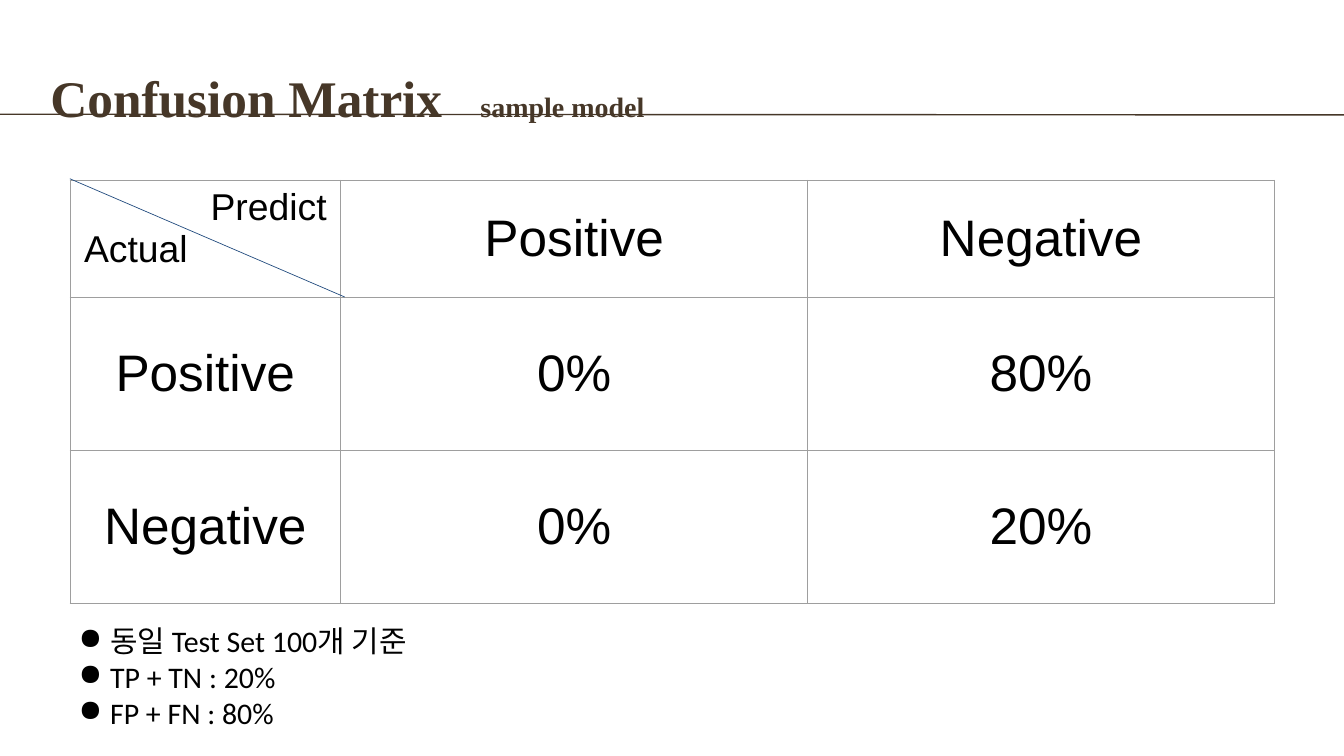
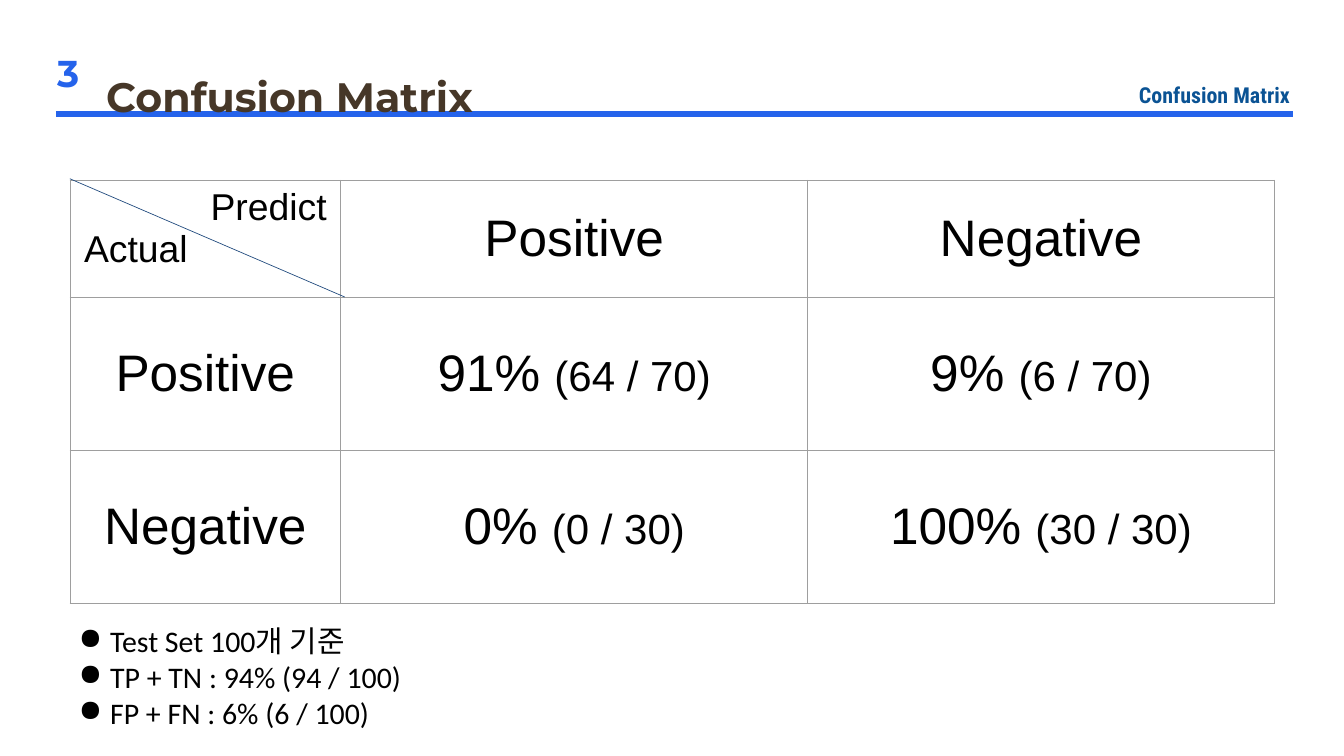
from lxml import etree
from pptx import Presentation
from pptx.dml.color import RGBColor
from pptx.enum import shapes, text
from pptx.oxml import parse_xml
from pptx.oxml.ns import nsdecls, qn
from pptx.util import Inches, Pt

BLACK, BROWN, BLUE = "000000", "463728", "2563EB"
NAVY, TEAL, GREY = "1F497D", "0B5394", "9E9E9E"
LEFT, CENTER, RIGHT = text.PP_ALIGN.LEFT, text.PP_ALIGN.CENTER, text.PP_ALIGN.RIGHT
COLUMNS, ROWS = (4.03, 6.95, 6.94), (1.74, 2.28, 2.28)


def rgb(value):
    return RGBColor.from_string(value)


class Deck:
    """Holds the shared style and the current slide."""

    def __init__(self):
        self.deck = Presentation()
        self.deck.slide_width, self.deck.slide_height = Inches(20), Inches(11.25)
        self.page = None

    def new_page(self):
        self.page = self.deck.slides.add_slide(self.deck.slide_layouts[5])

    def style(self, paragraph, size, font, color=BLACK, bold=False):
        paragraph.font.size, paragraph.font.name = Pt(size), font
        paragraph.font.bold, paragraph.font.color.rgb = bold, rgb(color)

    def frame(self, box, margin):
        frame = box.text_frame
        frame.word_wrap, frame.auto_size = True, text.MSO_AUTO_SIZE.NONE
        frame.vertical_anchor = text.MSO_ANCHOR.TOP
        frame.margin_left = frame.margin_right = Inches(margin)
        frame.margin_top = frame.margin_bottom = Inches(margin)
        return frame

    def spans(self, paragraph, main, detail="", detail_size=None):
        paragraph.add_run().text = main
        if detail:
            span = paragraph.add_run()
            span.text = detail
            span.font.size = Pt(detail_size)

    def line(self, start, end, color, width):
        line = self.page.shapes.add_connector(
            shapes.MSO_CONNECTOR.STRAIGHT, *map(Inches, start + end))
        line.line.color.rgb, line.line.width = rgb(color), Pt(width)
        etree.SubElement(line._element.spPr, qn("a:effectLst"))

    def title(self, place, size, font, subtitle="", tab=6.4):
        box = self.page.shapes.title
        box.left, box.top, box.width, box.height = map(Inches, place)
        # The title stands in front of the rule
        self.page.shapes._spTree.append(box._element)
        paragraph = self.frame(box, 0).paragraphs[0]
        paragraph.alignment, paragraph.line_spacing = LEFT, 1.5
        if subtitle:
            paragraph._p.get_or_add_pPr().append(parse_xml(
                f'<a:tabLst {nsdecls("a")}><a:tab pos="{Inches(tab)}" algn="l"/></a:tabLst>'))
            subtitle = "\t" + subtitle
        self.style(paragraph, size, font, BROWN, True)
        self.spans(paragraph, "Confusion Matrix", subtitle, 30)

    def text_box(self, place):
        return self.frame(self.page.shapes.add_textbox(*map(Inches, place)), 0.1)

    def label(self, place, words, size, font, color):
        paragraph = self.text_box(place).paragraphs[0]
        paragraph.text = words
        self.style(paragraph, size, font, color, True)

    def bullets(self, items):
        frame = self.text_box((1.04, 9.17, 8.28, 1.3))
        for index, item in enumerate(items):
            paragraph = frame.add_paragraph() if index else frame.paragraphs[0]
            paragraph.text = item
            properties = paragraph._p.get_or_add_pPr()
            properties.set("marL", str(Inches(0.5)))
            properties.set("indent", str(Inches(-0.47)))
            color = etree.SubElement(properties, qn("a:buClr"))
            etree.SubElement(color, qn("a:srgbClr"), val=BLACK)
            etree.SubElement(properties, qn("a:buChar"), char="●")
            self.style(paragraph, 32, "Calibri")

    def cell_look(self, cell):
        properties = cell._tc.get_or_add_tcPr()
        for side in ("lnL", "lnR", "lnT", "lnB"):
            properties.append(parse_xml(
                f'<a:{side} {nsdecls("a")} w="{Pt(0.75)}"><a:solidFill>'
                f'<a:srgbClr val="{GREY}"/></a:solidFill></a:{side}>'))
        cell.fill.background()
        cell.margin_left = cell.margin_right = Inches(0.1)
        cell.margin_top = cell.margin_bottom = Inches(0.1)

    def corner(self, cell):
        cell.margin_left = cell.margin_right = Inches(0.21)
        cell.text = "Predict\nActual"
        for paragraph, alignment in zip(cell.text_frame.paragraphs, (RIGHT, LEFT)):
            paragraph.alignment = alignment
            self.style(paragraph, 40, "Arial")

    def matrix(self, values):
        table = self.page.shapes.add_table(
            3, 3, Inches(1.04), Inches(2.68), Inches(sum(COLUMNS)), Inches(sum(ROWS))).table
        table.first_row = table.horz_banding = False
        for column, width in zip(table.columns, COLUMNS):
            column.width = Inches(width)
        for row, height in zip(table.rows, ROWS):
            row.height = Inches(height)
        classes = [("Positive",), ("Negative",)]
        grid = [[None] + classes] + [[name] + row for name, row in zip(classes, values)]
        for row, contents in zip(table.rows, grid):
            for cell, content in zip(row.cells, contents):
                self.cell_look(cell)
                if content is None:
                    self.corner(cell)
                    continue
                cell.vertical_anchor = text.MSO_ANCHOR.MIDDLE
                paragraph = cell.text_frame.paragraphs[0]
                paragraph.alignment = CENTER
                self.style(paragraph, 55, "Arial")
                self.spans(paragraph, *content, detail_size=45)
        # Diagonal of the corner cell
        self.line((1.04, 2.66), (5.13, 4.42), NAVY, 0.75)


def main():
    deck = Deck()

    # Sample model
    deck.new_page()
    deck.line((0, 1.7), (20, 1.71), BROWN, 1.5)
    deck.title((0.75, 0.53, 10.56, 0.93), 55, "Times New Roman", "sample model")
    deck.matrix([[("0%",), ("80%",)], [("0%",), ("20%",)]])
    deck.bullets(["동일 Test Set 100개 기준", "TP + TN : 20%", "FP + FN : 80%"])

    # Section 3 result
    deck.new_page()
    deck.line((0.83, 1.7), (19.24, 1.7), BLUE, 6)
    deck.title((1.58, 0.7, 10.56, 1.67), 44, "Montserrat")
    deck.label((16.85, 1.12, 3.15, 0.57), "Confusion Matrix", 23.5, "Roboto Condensed", TEAL)
    deck.label((0.75, 0.65, 1.21, 1.23), "3", 40, "Montserrat", BLUE)
    deck.matrix([[("91% ", "(64 / 70)"), ("9% ", "(6 / 70)")],
                 [("0% ", "(0 / 30)"), ("100% ", "(30 / 30)")]])
    deck.bullets(["Test Set 100개 기준", "TP + TN : 94% (94 / 100)", "FP + FN : 6% (6 / 100)"])

    deck.deck.save("out.pptx")


if __name__ == "__main__":
    main()
